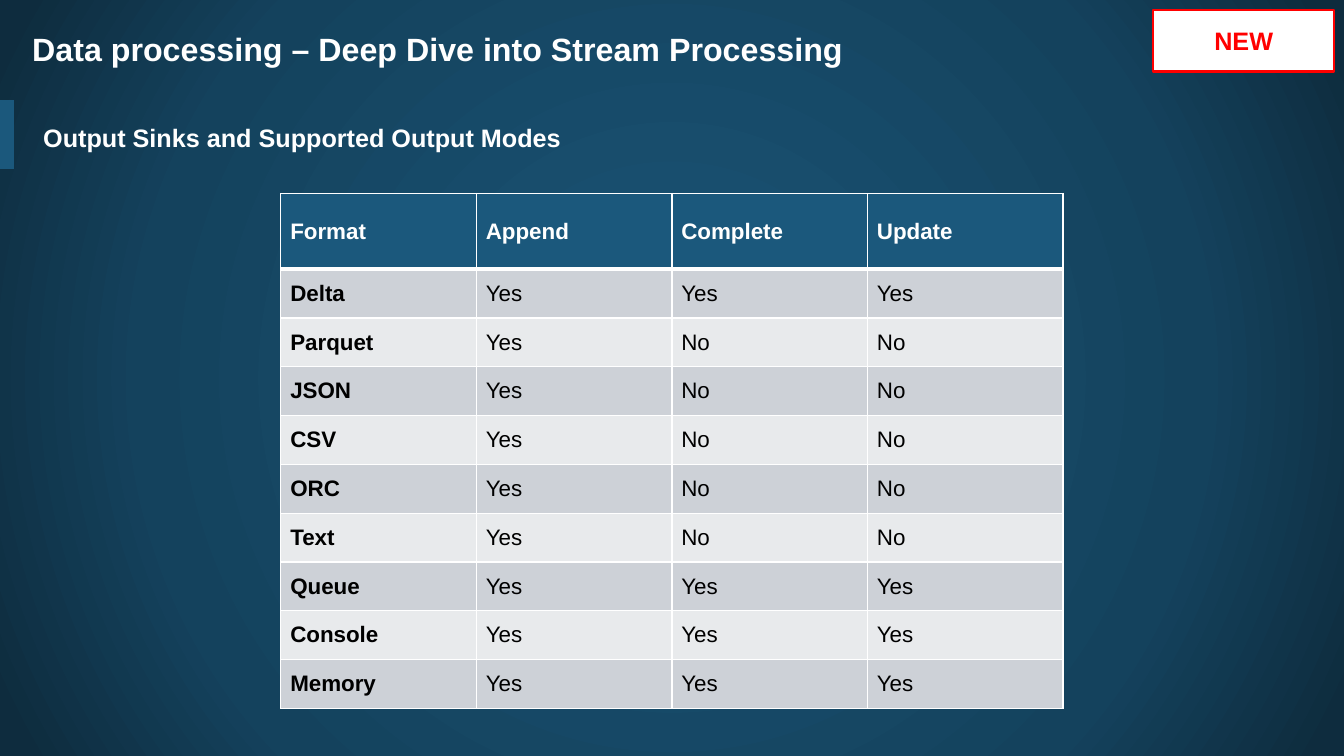
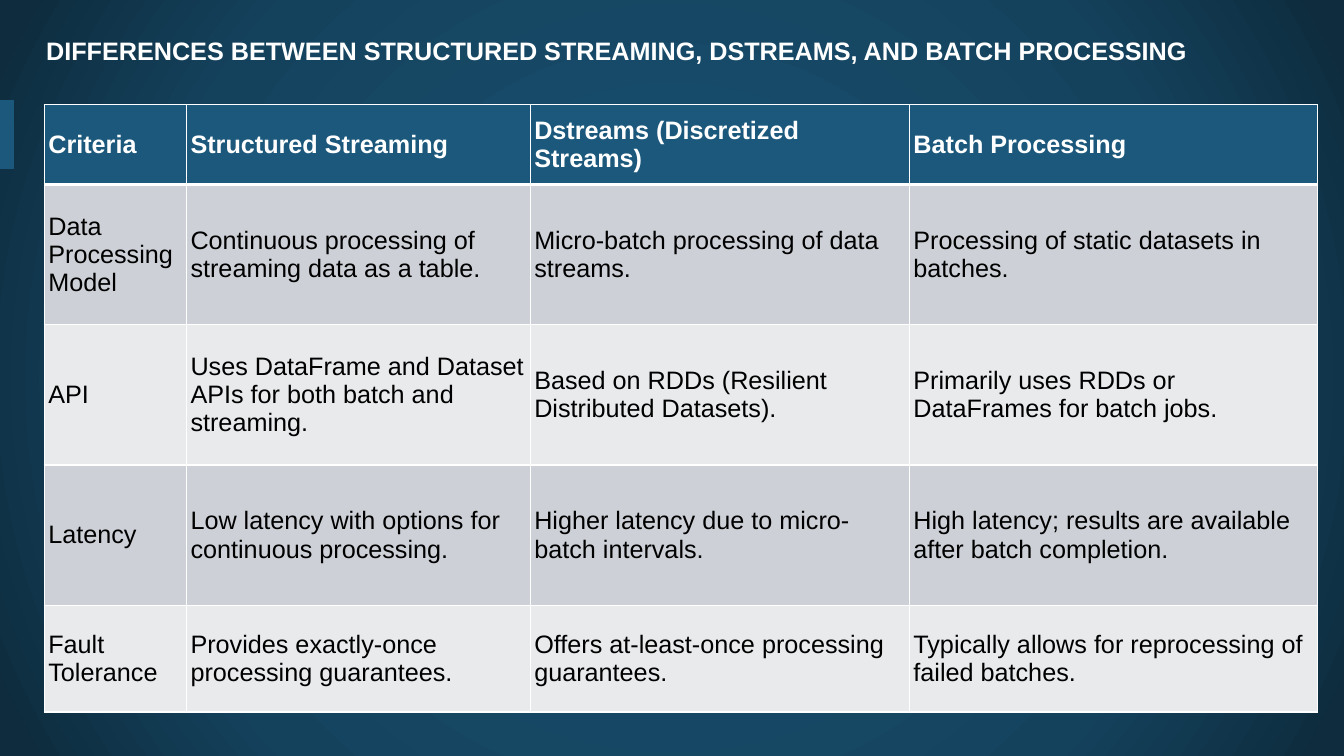
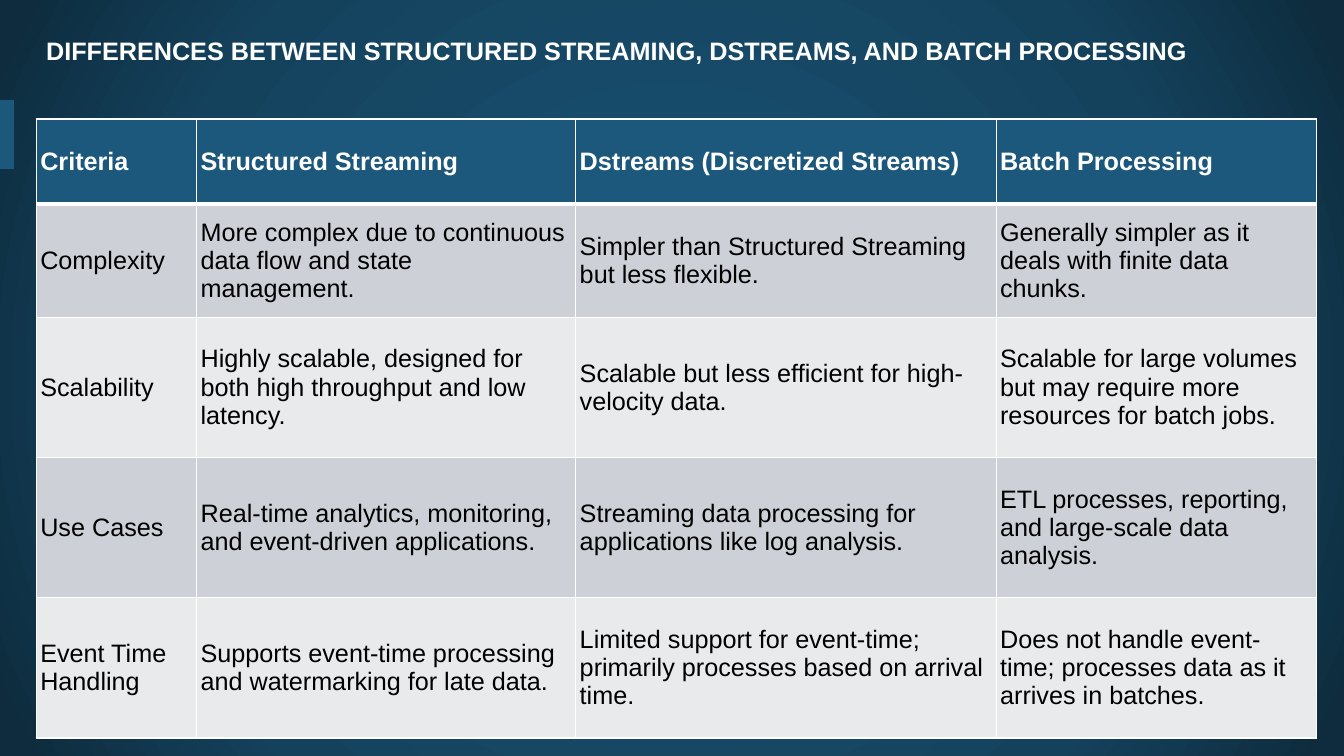
"""Build three slides on stream processing: output sinks and a comparison of processing models."""
from dataclasses import dataclass

from lxml import etree
from pptx import Presentation
from pptx.dml.color import RGBColor
from pptx.enum.shapes import MSO_CONNECTOR, MSO_SHAPE
from pptx.enum.text import MSO_ANCHOR, PP_ALIGN
from pptx.oxml import parse_xml
from pptx.oxml.ns import nsdecls, qn
from pptx.util import Inches, Pt

STRAIGHT = MSO_CONNECTOR.STRAIGHT
RECTANGLE = MSO_SHAPE.RECTANGLE
TOP, MIDDLE = MSO_ANCHOR.TOP, MSO_ANCHOR.MIDDLE
LEFT, CENTER = PP_ALIGN.LEFT, PP_ALIGN.CENTER


@dataclass(frozen=True)
class Theme:
    font: str = "Arial"
    white: str = "FFFFFF"
    black: str = "000000"
    red: str = "FF0000"
    accent: str = "1B587C"
    bands: tuple = ("CDD1D7", "E8EAEC")
    backdrop: tuple = ((0, "184E6E"), (23, "184E6E"), (69, "14425D"), (97, "0E2C3E"))
    title_size: int = 23
    text_size: int = 18
    sink_size: int = 16
    thin: int = 1
    thick: int = 3
    badge_line: float = 1.5
    accent_line: int = 10


THEME = Theme()

prs = Presentation()
prs.slide_width, prs.slide_height = Inches(13.33), Inches(7.5)
COL, ROW = prs.slide_width / 100, prs.slide_height / 100
blank = prs.slide_layouts[6]
master = prs.slide_master


def grid(left, top, width, height):
    """Turn grid columns and rows into slide lengths."""
    return int(left * COL), int(top * ROW), int(width * COL), int(height * ROW)


def write(frame, text, size, color, bold=True, align=LEFT, anchor=MIDDLE):
    """Put one styled run into a text frame."""
    frame.word_wrap = True
    frame.vertical_anchor = anchor
    paragraph = frame.paragraphs[0]
    paragraph.alignment = align
    run = paragraph.add_run()
    run.text = text
    run.font.name, run.font.size, run.font.bold = THEME.font, Pt(size), bold
    run.font.color.rgb = RGBColor.from_string(color)
    return paragraph


master.background.fill.gradient()
backdrop = master.element.xpath("./p:cSld/p:bg/p:bgPr/a:gradFill")[0]
stops = "".join(
    f'<a:gs pos="{share * 1000}"><a:srgbClr val="{color}"/></a:gs>' for share, color in THEME.backdrop
)
backdrop.getparent().replace(backdrop, parse_xml(
    f'<a:gradFill {nsdecls("a")} rotWithShape="1"><a:gsLst>{stops}</a:gsLst><a:path path="circle">'
    '<a:fillToRect l="50000" t="50000" r="50000" b="50000"/></a:path></a:gradFill>'
))

sinks_slide, models_slide, usage_slide = [prs.slides.add_slide(blank) for _ in range(3)]

marker_x, marker_top, _, marker_bottom = grid(0.53, 14.13, 0, 21.47)
marker = sinks_slide.shapes.add_connector(STRAIGHT, marker_x, marker_bottom, marker_x, marker_top)
marker.line.color.rgb = RGBColor.from_string(THEME.accent)
marker.line.width = Pt(THEME.accent_line)
marker.element.xpath(".//a:ln")[0].set("cap", "sq")
etree.SubElement(marker.element.spPr, qn("a:effectLst"))
master.shapes.element.append(marker.element)

title = sinks_slide.shapes.add_textbox(*grid(1.65, 3.2, 96.6, 10.67))
title_line = write(title.text_frame, "Data processing – Deep Dive into Stream Processing",
                   THEME.title_size, THEME.white, anchor=TOP)
title_line.space_after = Pt(10)

subtitle = sinks_slide.shapes.add_textbox(*grid(2.48, 15.47, 58.81, 5.33))
write(subtitle.text_frame, "Output Sinks and Supported Output Modes", THEME.text_size, THEME.white)

badge = sinks_slide.shapes.add_shape(RECTANGLE, *grid(85.82, 1.33, 13.43, 8.13))
badge.shadow.inherit = False
badge.fill.solid()
badge.fill.fore_color.rgb = RGBColor.from_string(THEME.white)
badge.line.color.rgb = RGBColor.from_string(THEME.red)
badge.line.width = Pt(THEME.badge_line)
write(badge.text_frame, "NEW", THEME.text_size, THEME.red, align=CENTER)

for slide in (models_slide, usage_slide):
    heading = slide.shapes.add_textbox(*grid(2.7, 3.47, 91.9, 6.4))
    write(heading.text_frame, "DIFFERENCES BETWEEN STRUCTURED STREAMING, DSTREAMS, AND BATCH PROCESSING",
          THEME.text_size, THEME.white)

full_support = ("Yes", "Yes", "Yes")
append_only = ("Yes", "No", "No")
sinks = [
    ("Format", "Append", "Complete", "Update"),
    ("Delta", *full_support),
    *[(sink, *append_only) for sink in ("Parquet", "JSON", "CSV", "ORC", "Text")],
    *[(sink, *full_support) for sink in ("Queue", "Console", "Memory")],
]
criteria = ("Criteria", "Structured Streaming", "Dstreams (Discretized Streams)", "Batch Processing")
models = [
    criteria,
    ("Data Processing Model", "Continuous processing of streaming data as a table.",
     "Micro-batch processing of data streams.", "Processing of static datasets in batches."),
    ("API", "Uses DataFrame and Dataset APIs for both batch and streaming.",
     "Based on RDDs (Resilient Distributed Datasets).",
     "Primarily uses RDDs or DataFrames for batch jobs."),
    ("Latency", "Low latency with options for continuous processing.",
     "Higher latency due to micro-batch intervals.",
     "High latency; results are available after batch completion."),
    ("Fault Tolerance", "Provides exactly-once processing guarantees.",
     "Offers at-least-once processing guarantees.",
     "Typically allows for reprocessing of failed batches."),
]
usage = [
    criteria,
    ("Complexity", "More complex due to continuous data flow and state management.",
     "Simpler than Structured Streaming but less flexible.",
     "Generally simpler as it deals with finite data chunks."),
    ("Scalability", "Highly scalable, designed for both high throughput and low latency.",
     "Scalable but less efficient for high-velocity data.",
     "Scalable for large volumes but may require more resources for batch jobs."),
    ("Use Cases", "Real-time analytics, monitoring, and event-driven applications.",
     "Streaming data processing for applications like log analysis.",
     "ETL processes, reporting, and large-scale data analysis."),
    ("Event Time Handling", "Supports event-time processing and watermarking for late data.",
     "Limited support for event-time; primarily processes based on arrival time.",
     "Does not handle event-time; processes data as it arrives in batches."),
]

tables = [
    (sinks_slide, sinks, (20.9, 25.6), [14.55] * 4, [10] + [6.46] * 9,
     (0.7, 0.67), THEME.sink_size, True),
    (models_slide, models, (3.3, 13.87), [10.58, 25.58, 28.21, 30.38], [10.53] + [18.56] * 3 + [14.13],
     (0.3, 0.3), THEME.text_size, False),
    (usage_slide, usage, (2.7, 15.73), [11.93, 28.21, 31.28, 23.86], [11.3, 14.93] + [18.56] * 3,
     (0.3, 0.3), THEME.text_size, False),
]

for slide, records, corner, widths, heights, (pad_x, pad_y), size, bold_labels in tables:
    table = slide.shapes.add_table(
        len(records), len(widths), *grid(*corner, sum(widths), sum(heights))).table
    table.first_row = table.horz_banding = False
    for column, width in zip(table.columns, widths):
        column.width = int(width * COL)
    for row_index, (row, height, record) in enumerate(zip(table.rows, heights, records)):
        row.height = int(height * ROW)
        is_header = row_index == 0
        fill = THEME.accent if is_header else THEME.bands[(row_index - 1) % 2]
        borders = {
            "lnL": THEME.thin,
            "lnR": THEME.thin,
            "lnT": THEME.thick if row_index == 1 else THEME.thin,
            "lnB": THEME.thick if is_header else THEME.thin,
        }
        for column_index, (cell, text) in enumerate(zip(row.cells, record)):
            write(cell.text_frame, text, size, THEME.white if is_header else THEME.black,
                  bold=is_header or (bold_labels and column_index == 0))
            cell.margin_left = cell.margin_right = int(pad_x * COL)
            cell.margin_top = cell.margin_bottom = int(pad_y * ROW)
            cell.fill.solid()
            cell.fill.fore_color.rgb = RGBColor.from_string(fill)
            properties = cell._tc.get_or_add_tcPr()
            for position, (edge, points) in enumerate(borders.items()):
                properties.insert(position, parse_xml(
                    f'<a:{edge} {nsdecls("a")} w="{Pt(points)}"><a:solidFill>'
                    f'<a:srgbClr val="{THEME.white}"/></a:solidFill></a:{edge}>'
                ))
            properties.attrib.pop("wrap", None)
            cell.vertical_anchor = MIDDLE

prs.save("out.pptx")
